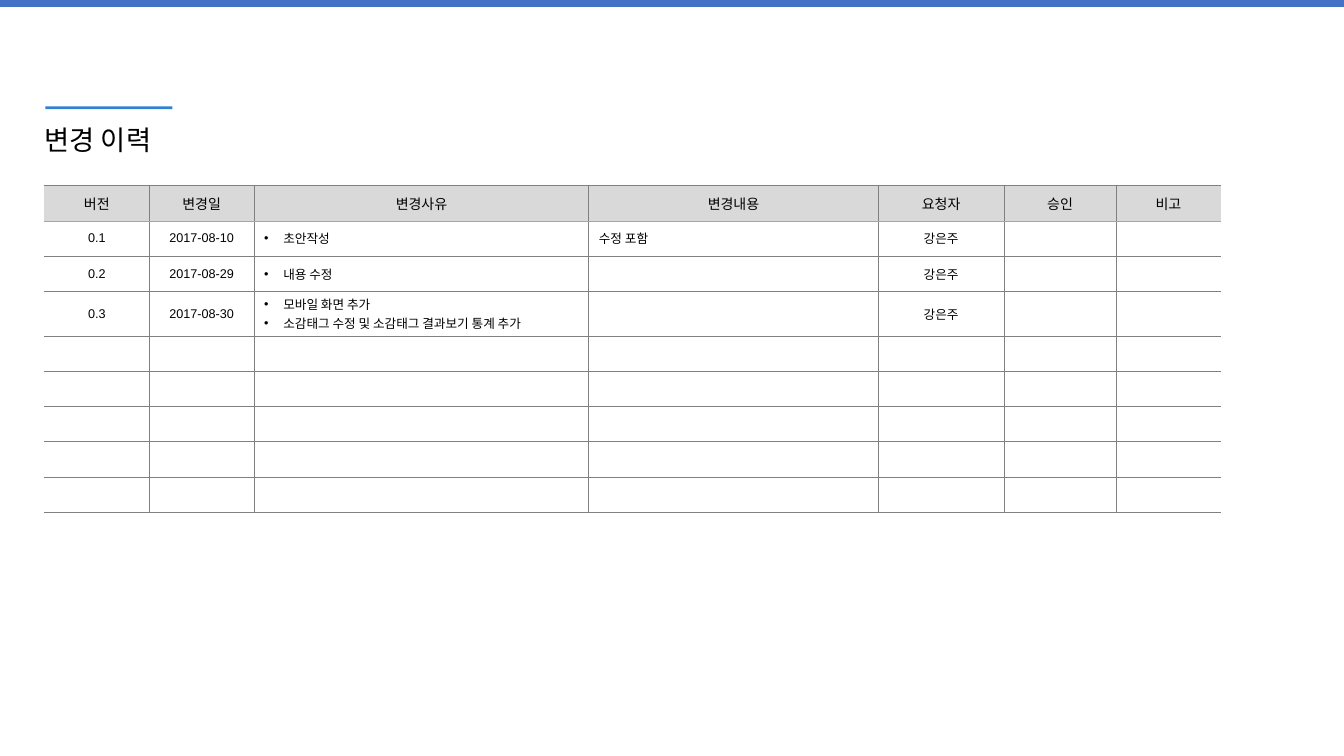
from typing import NamedTuple

from lxml import etree
from pptx import Presentation
from pptx.dml.color import RGBColor
from pptx.enum.shapes import MSO_CONNECTOR, MSO_SHAPE
from pptx.enum.text import MSO_ANCHOR, MSO_AUTO_SIZE, PP_ALIGN
from pptx.oxml.ns import qn
from pptx.util import Inches, Pt

LEFT, CENTER = PP_ALIGN.LEFT, PP_ALIGN.CENTER
TOP, MIDDLE = MSO_ANCHOR.TOP, MSO_ANCHOR.MIDDLE
NO_AUTOFIT = MSO_AUTO_SIZE.NONE
RECTANGLE, STRAIGHT = MSO_SHAPE.RECTANGLE, MSO_CONNECTOR.STRAIGHT

FONT = "Arial"
BLACK, BAR_BLUE, ACCENT_BLUE = "000000", "4472C4", "0066CC"
HEADER_GRAY, GRID_GRAY, HEADER_LINE_GRAY = "D9D9D9", "808080", "A6A6A6"
ROW_HEIGHT = 0.35
ROW_COUNT = 9
BULLET_INDENT = Inches(0.19)


class Column(NamedTuple):
    heading: str
    width: float
    align: PP_ALIGN = CENTER
    bulleted: bool = False


class Border(NamedTuple):
    side: str
    color: str | None
    width: float = 0.5


COLUMNS = [
    Column("버전", 1.04),
    Column("변경일", 1.04),
    Column("변경사유", 3.32, LEFT, True),
    Column("변경내용", 2.87, LEFT),
    Column("요청자", 1.25),
    Column("승인", 1.11),
    Column("비고", 1.04),
]
REVISIONS = [
    ["0.1", "2017-08-10", "초안작성", "수정 포함", "강은주"],
    ["0.2", "2017-08-29", "내용 수정", "", "강은주"],
    ["0.3", "2017-08-30",
     "모바일 화면 추가\n소감태그 수정 및 소감태그 결과보기 통계 추가", "", "강은주"],
]


def rgb(color: str) -> RGBColor:
    return RGBColor.from_string(color)


def style_text(paragraph, size: float, align: PP_ALIGN) -> None:
    paragraph.alignment = align
    for run in paragraph.runs:
        run.font.name = FONT
        run.font.size = Pt(size)
        run.font.color.rgb = rgb(BLACK)
    if not paragraph.runs:
        # Keeps empty rows at their set height
        etree.SubElement(paragraph._p, qn("a:endParaRPr"), sz=str(int(size * 100)))


def add_bullet(paragraph) -> None:
    properties = paragraph._p.get_or_add_pPr()
    properties.set("marL", str(BULLET_INDENT))
    properties.set("indent", str(-BULLET_INDENT))
    etree.SubElement(properties, qn("a:buFont"), typeface=FONT)
    etree.SubElement(properties, qn("a:buChar"), char="•")


def set_borders(cell, borders: list[Border]) -> None:
    properties = cell._tc.get_or_add_tcPr()
    for position, border in enumerate(borders):
        line = etree.Element(qn(f"a:ln{border.side}"), w=str(Pt(border.width)))
        if border.color is None:
            etree.SubElement(line, qn("a:noFill"))
        else:
            fill = etree.SubElement(line, qn("a:solidFill"))
            etree.SubElement(fill, qn("a:srgbClr"), val=border.color)
        properties.insert(position, line)


def fill_cell(cell, row: int, index: int, text: str) -> None:
    column = COLUMNS[index]
    is_header = row == 0
    cell.text_frame.text = text
    cell.vertical_anchor = MIDDLE
    cell.margin_left = cell.margin_right = Inches(0.1)
    cell.margin_top = cell.margin_bottom = Inches(0.04)
    for paragraph in cell.text_frame.paragraphs:
        style_text(paragraph, 10 if is_header else 9, CENTER if is_header else column.align)
        if column.bulleted and text and not is_header:
            add_bullet(paragraph)
    if is_header:
        cell.fill.solid()
        cell.fill.fore_color.rgb = rgb(HEADER_GRAY)
    else:
        cell.fill.background()
    header_line = (HEADER_LINE_GRAY, 0.25)
    grid_line = (GRID_GRAY, 0.5)
    set_borders(cell, [
        Border("L", GRID_GRAY if index > 0 else None),
        Border("R", GRID_GRAY if index < len(COLUMNS) - 1 else None),
        Border("T", *(header_line if row == 1 else grid_line)),
        Border("B", *(header_line if is_header else grid_line)),
    ])


presentation = Presentation()
presentation.slide_width = Inches(13.33)
presentation.slide_height = Inches(7.5)
slide = presentation.slides.add_slide(presentation.slide_layouts[5])

# Top bar
top_bar = slide.shapes.add_shape(
    RECTANGLE, Inches(0), Inches(0), presentation.slide_width, Inches(0.07))
top_bar.shadow.inherit = False
top_bar.fill.solid()
top_bar.fill.fore_color.rgb = rgb(BAR_BLUE)
top_bar.line.fill.background()

# Title
title = slide.shapes.title
title.left, title.top = Inches(0.44), Inches(1.22)
title.width, title.height = Inches(5.98), Inches(0.58)
title_frame = title.text_frame
title_frame.text = "변경 이력"
title_frame.word_wrap = True
title_frame.auto_size = NO_AUTOFIT
title_frame.vertical_anchor = TOP
title_frame.margin_left = title_frame.margin_right = 0
title_frame.margin_top = title_frame.margin_bottom = 0
style_text(title_frame.paragraphs[0], 19.5, LEFT)

# Revision history table
history = slide.shapes.add_table(
    ROW_COUNT, len(COLUMNS), Inches(0.44), Inches(1.84),
    Inches(sum(column.width for column in COLUMNS)),
    Inches(ROW_COUNT * ROW_HEIGHT)).table
history.first_row = history.horz_banding = False
for table_row in history.rows:
    table_row.height = Inches(ROW_HEIGHT)
for table_column, column in zip(history.columns, COLUMNS):
    table_column.width = Inches(column.width)

entries = [[column.heading for column in COLUMNS], *REVISIONS]
for row in range(ROW_COUNT):
    entry = entries[row] if row < len(entries) else []
    for index in range(len(COLUMNS)):
        text = entry[index] if index < len(entry) else ""
        fill_cell(history.cell(row, index), row, index, text)

# Accent line above the title
accent = slide.shapes.add_connector(
    STRAIGHT, Inches(0.45), Inches(1.07), Inches(1.71), Inches(1.07))
accent.line.color.rgb = rgb(ACCENT_BLUE)
accent.line.width = Pt(2)
accent_color = accent._element.spPr.find(".//" + qn("a:srgbClr"))
etree.SubElement(accent_color, qn("a:alpha"), val="82000")
etree.SubElement(accent._element.spPr, qn("a:effectLst"))

presentation.save("out.pptx")
